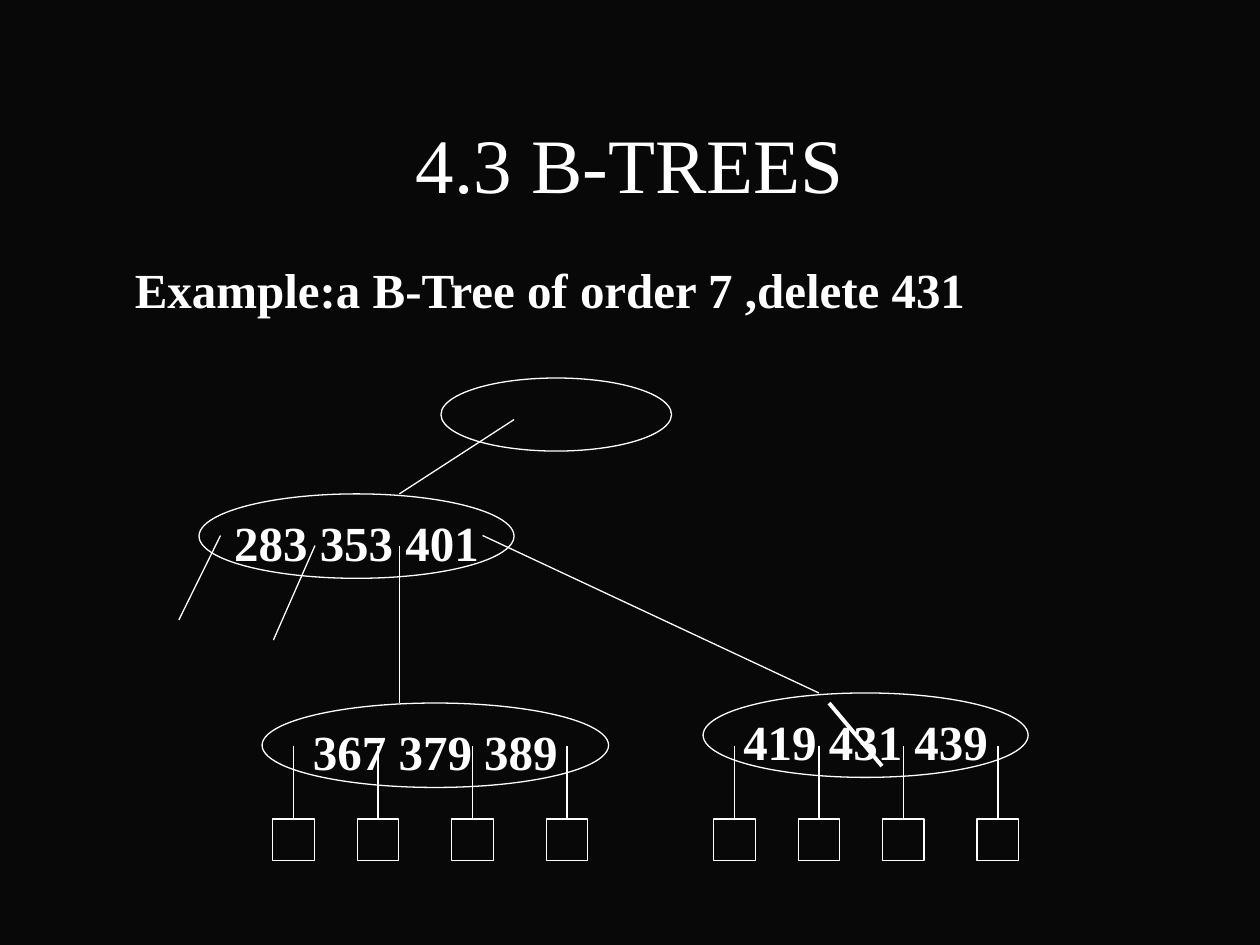
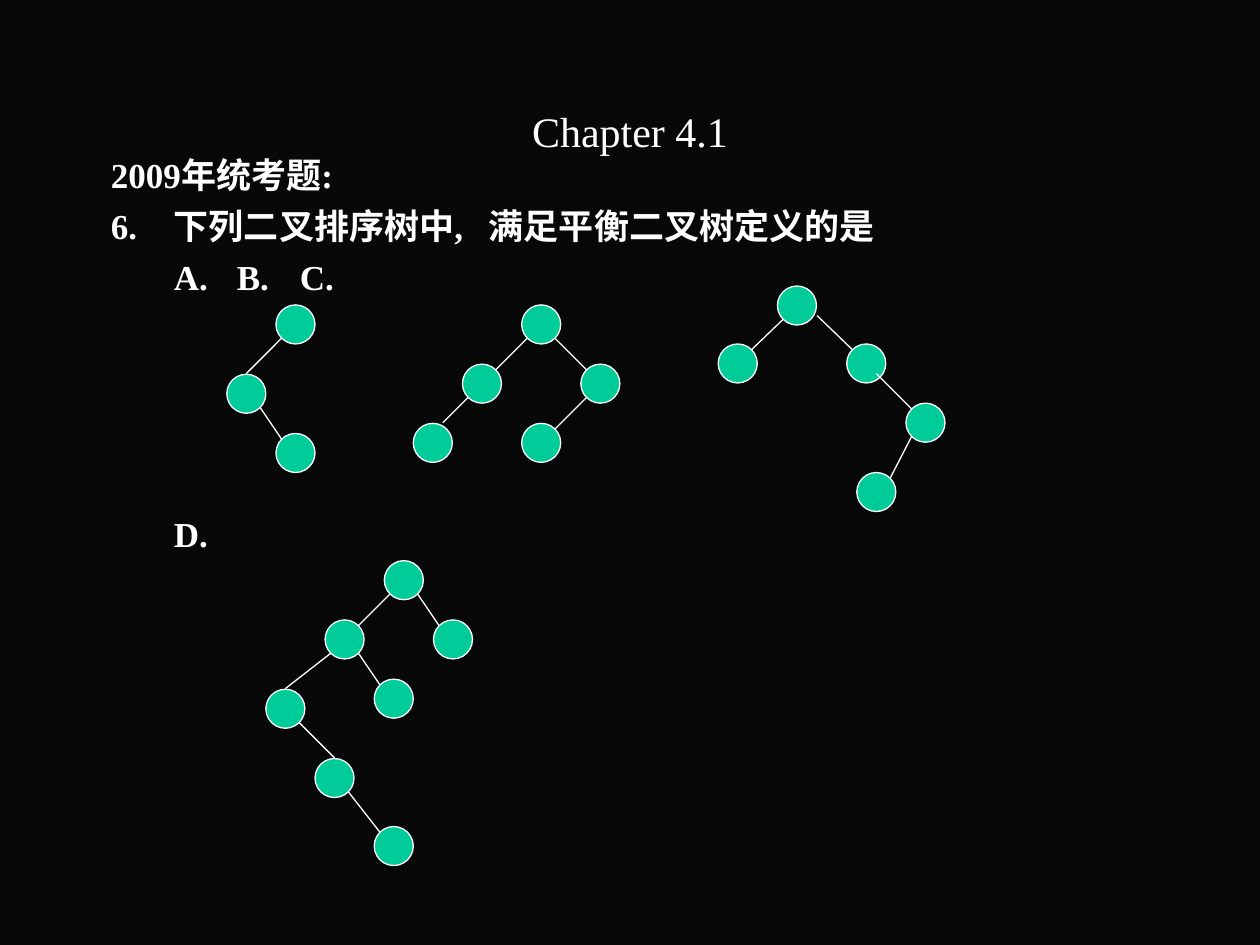
from typing import NamedTuple

from lxml import etree
from pptx import Presentation
from pptx import util as u
from pptx.dml import color
from pptx.enum import shapes, text
from pptx.oxml import ns

FONT = "Times New Roman"
BACK, WHITE, GREEN = "080808", "FFFFFF", "00CC99"
BALL = 0.31
LEAF = 0.33


class Box(NamedTuple):
    left: float
    top: float
    width: float
    height: float


class Point(NamedTuple):
    x: float
    y: float


class Link(NamedTuple):
    start: Point
    end: Point
    weight: float = 0.75


class Key(NamedTuple):
    box: Box
    label: str = ""


class Edge(NamedTuple):
    top: int
    low: int
    out: Point = Point(0.11, 0.11)
    into: Point = Point(0.11, 0.11)


class Tree(NamedTuple):
    balls: list[Point]
    edges: list[Edge]


class Line(NamedTuple):
    label: str
    stops: tuple[float, ...] = ()
    before: float = 5


CROWN = Point(0, 0.16)

KEYS = [
    Key(Box(3.5, 3, 1.83, 0.58)),
    Key(Box(1.58, 3.92, 2.5, 0.67), "283 353 401"),
    Key(Box(2.08, 5.58, 2.75, 0.67), "367 379 389"),
    Key(Box(5.58, 5.5, 2.58, 0.67), "419 431 439"),
]
LINKS = [
    Link(Point(4.08, 3.33), Point(3.17, 3.92)),
    Link(Point(1.75, 4.25), Point(1.42, 4.92)),
    Link(Point(2.5, 4.33), Point(2.17, 5.08)),
    Link(Point(3.17, 4.33), Point(3.17, 5.58)),
    Link(Point(3.83, 4.25), Point(6.5, 5.5)),
]
STEMS = [2.33, 3, 3.75, 4.5, 5.83, 6.5, 7.17, 7.92]
STRIKE = Link(Point(6.58, 5.58), Point(7, 6.08), 2.25)

TREES = [
    Tree(
        [Point(2.19, 2.42), Point(1.8, 2.97), Point(2.19, 3.44)],
        [Edge(0, 1, into=CROWN), Edge(1, 2)],
    ),
    Tree(
        [Point(4.14, 2.42), Point(3.67, 2.89), Point(4.61, 2.89),
         Point(3.28, 3.36), Point(4.14, 3.36)],
        [Edge(0, 1), Edge(0, 2), Edge(1, 3, into=Point(0.08, 0.16)), Edge(2, 4)],
    ),
    Tree(
        [Point(6.17, 2.27), Point(5.7, 2.73), Point(6.72, 2.73),
         Point(7.19, 3.2), Point(6.8, 3.75)],
        [Edge(0, 1), Edge(0, 2, out=Point(0.16, 0.08)),
         Edge(2, 3, out=Point(0.08, 0.08)), Edge(3, 4)],
    ),
    Tree(
        [Point(3.05, 4.45), Point(2.58, 4.92), Point(3.44, 4.92), Point(2.11, 5.47),
         Point(2.97, 5.39), Point(2.5, 6.02), Point(2.97, 6.56)],
        [Edge(0, 1), Edge(0, 2), Edge(1, 3, into=CROWN), Edge(1, 4),
         Edge(3, 5, into=CROWN), Edge(5, 6)],
    ),
]
QUIZ = [
    Line("2009年统考题:", before=0),
    Line("6.\t下列二叉排序树中,\t满足平衡二叉树定义的是", (0.42, 2.98)),
    Line("\tA.\tB.\tC.", (0.68, 2.33, 4.6)),
    Line("\tD.", (0.69,), 123),
]


def rgb(code: str) -> color.RGBColor:
    return color.RGBColor.from_string(code)


def style(para, size: float, bold: bool = True) -> None:
    para.font.name = FONT
    para.font.size = u.Pt(size)
    para.font.bold = bold
    para.font.color.rgb = rgb(WHITE)


def place(shape, box: Box) -> None:
    shape.left, shape.top, shape.width, shape.height = map(u.Inches, box)


def add_page(deck, title: str, size: float, head: Box, body: Box, lines: list[Line], pts: float):
    page = deck.slides.add_slide(deck.slide_layouts[1])
    name, main = page.placeholders
    place(name, head)
    name.text_frame.text = title
    name.text_frame.auto_size = text.MSO_AUTO_SIZE.NONE
    name.text_frame.vertical_anchor = text.MSO_ANCHOR.MIDDLE
    para = name.text_frame.paragraphs[0]
    para.alignment = text.PP_ALIGN.CENTER
    style(para, size, False)
    place(main, body)
    fill_body(main.text_frame, lines, pts)
    return page


def fill_body(frame, lines: list[Line], size: float) -> None:
    frame.auto_size = text.MSO_AUTO_SIZE.NONE
    frame.text = "\n".join(line.label for line in lines)
    for para, line in zip(frame.paragraphs, lines):
        para.space_before = u.Pt(line.before)
        props = para._p.get_or_add_pPr()
        props.set("marL", "0")
        props.set("indent", "0")
        etree.SubElement(props, ns.qn("a:buNone"))
        if line.stops:
            tabs = etree.SubElement(props, ns.qn("a:tabLst"))
            for stop in line.stops:
                etree.SubElement(tabs, ns.qn("a:tab"), pos=str(u.Inches(stop)), algn="l")
        style(para, size)


def add_form(group, kind, box: Box, paint: str | None = None):
    form = group.shapes.add_shape(kind, *map(u.Inches, box))
    form.shadow.inherit = False
    if paint:
        form.fill.solid()
        form.fill.fore_color.rgb = rgb(paint)
    else:
        form.fill.background()
    form.line.color.rgb = rgb(WHITE)
    form.line.width = u.Pt(0.75)
    return form


def add_link(group, link: Link) -> None:
    wire = group.shapes.add_connector(
        shapes.MSO_CONNECTOR.STRAIGHT, *map(u.Inches, link.start + link.end))
    wire.line.color.rgb = rgb(WHITE)
    wire.line.width = u.Pt(link.weight)
    etree.SubElement(wire._element.spPr, ns.qn("a:effectLst"))


def add_key(group, key: Key) -> None:
    form = add_form(group, shapes.MSO_SHAPE.OVAL, key.box)
    if key.label:
        frame = form.text_frame
        frame.word_wrap = False
        frame.margin_top = u.Inches(0.14)
        frame.vertical_anchor = text.MSO_ANCHOR.MIDDLE
        frame.text = key.label
        para = frame.paragraphs[0]
        para.alignment = text.PP_ALIGN.CENTER
        style(para, 28)


def add_tree(page, tree: Tree) -> None:
    group = page.shapes.add_group_shape()
    for ball in tree.balls:
        add_form(group, shapes.MSO_SHAPE.OVAL, Box(*ball, BALL, BALL), GREEN)
    mids = [Point(ball.x + BALL / 2, ball.y + BALL / 2) for ball in tree.balls]
    for edge in tree.edges:
        top, low = mids[edge.top], mids[edge.low]
        side = 1 if low.x > top.x else -1
        add_link(group, Link(
            Point(top.x + side * edge.out.x, top.y + edge.out.y),
            Point(low.x - side * edge.into.x, low.y - edge.into.y)))


def draw_btree(deck) -> None:
    page = add_page(
        deck, "4.3 B-TREES", 44, Box(0.75, 0.67, 8.5, 1.25), Box(0.75, 1.92, 8.5, 5),
        [Line("Example:a B-Tree of order 7 ,delete 431", before=0)], 28)
    frame = page.placeholders[1].text_frame
    frame.margin_left, frame.margin_top = u.Inches(0.32), u.Inches(0.14)
    group = page.shapes.add_group_shape()
    for key in KEYS:
        add_key(group, key)
    for link in LINKS:
        add_link(group, link)
    for x in STEMS:
        add_link(group, Link(Point(x, 5.92), Point(x, 6.5)))
        add_form(group, shapes.MSO_SHAPE.RECTANGLE, Box(x - LEAF / 2, 6.5, LEAF, LEAF))
    add_link(group, STRIKE)


def draw_quiz(deck) -> None:
    page = add_page(
        deck, "Chapter 4.1", 24, Box(0.75, 0.67, 8.5, 0.74), Box(0.78, 1.17, 8.5, 5.94), QUIZ, 20)
    for tree in TREES:
        add_tree(page, tree)


def main() -> None:
    """Build the two tree slides and save them."""
    deck = Presentation()
    deck.slide_width, deck.slide_height = u.Inches(10), u.Inches(7.5)
    back = deck.slide_master.background.fill
    back.solid()
    back.fore_color.rgb = rgb(BACK)
    draw_btree(deck)
    draw_quiz(deck)
    deck.save("out.pptx")


if __name__ == "__main__":
    main()
